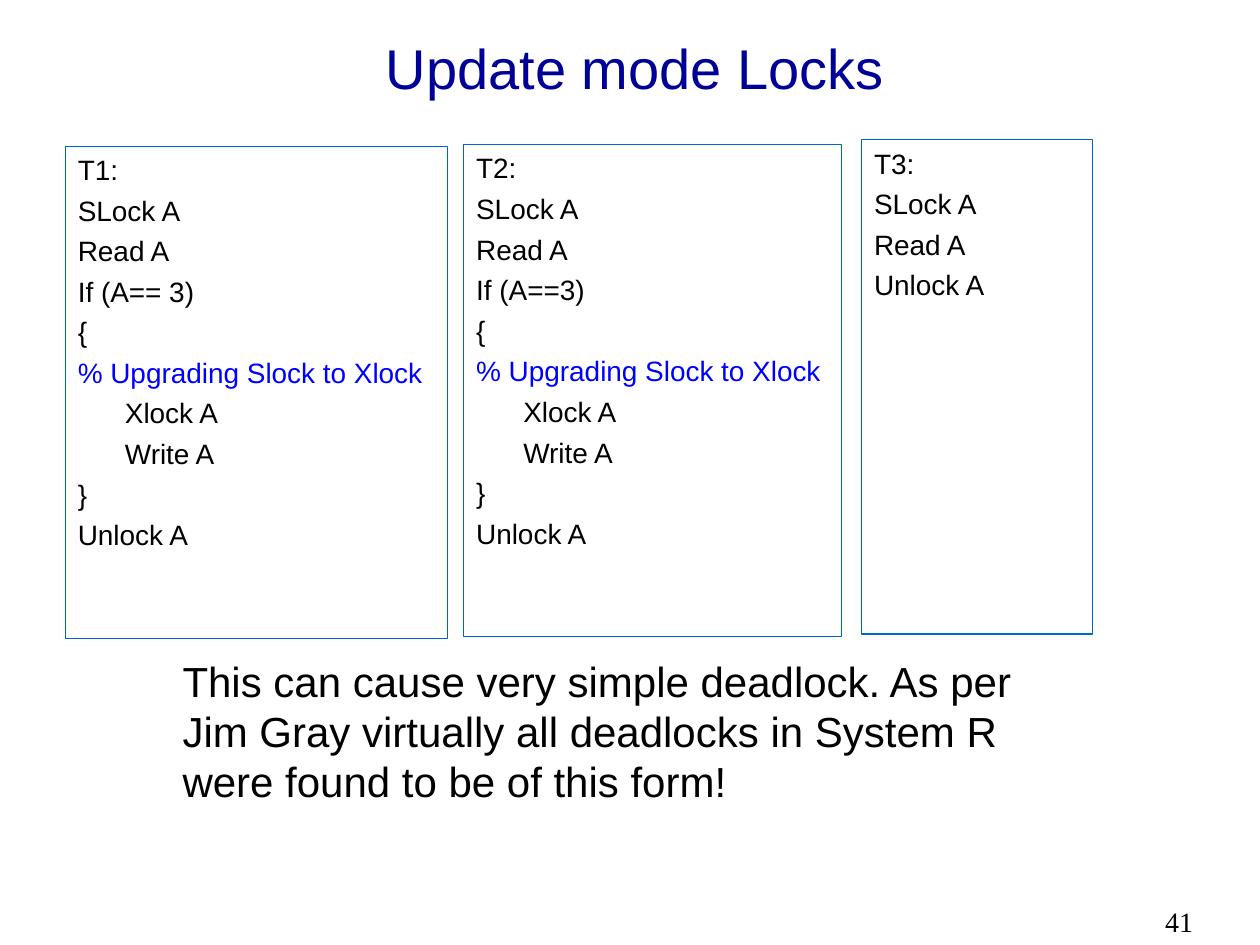
from dataclasses import dataclass

import pptx
import pptx.dml.color
import pptx.enum.shapes
import pptx.enum.text
import pptx.util

Cm = pptx.util.Cm
Pt = pptx.util.Pt
RGB = pptx.dml.color.RGBColor
Align = pptx.enum.text.PP_ALIGN
Anchor = pptx.enum.text.MSO_ANCHOR


@dataclass(frozen=True)
class Theme:
    sans: str = "Arial"
    serif: str = "Times New Roman"
    ink: RGB = RGB(0x00, 0x00, 0x00)
    heading: RGB = RGB(0x00, 0x00, 0x99)
    comment: RGB = RGB(0x00, 0x00, 0xFF)
    border: RGB = RGB(0x00, 0x66, 0xCC)
    title_size: Pt = Pt(32)
    note_size: Pt = Pt(24)
    code_size: Pt = Pt(16)
    border_width: Pt = Pt(0.75)
    code_spacing: Pt = Pt(19.2)
    code_gap: Pt = Pt(4)
    code_indent: Cm = Cm(0.95)


THEME = Theme()


def transaction(name, condition):
    return [f"{name}:", "SLock A", "Read A", f"If ({condition})", "{",
            "% Upgrading Slock to Xlock", "Xlock A", "Write A", "}", "Unlock A"]


def set_font(para, size, color, name=THEME.sans):
    para.font.size = size
    para.font.name = name
    para.font.color.rgb = color


def add_label(page, place, text, size, color, name=THEME.sans,
              align=Align.LEFT, anchor=Anchor.TOP):
    box = page.shapes.add_textbox(*map(Cm, place))
    box.text_frame.word_wrap = True
    box.text_frame.vertical_anchor = anchor
    para = box.text_frame.paragraphs[0]
    para.text = text
    para.alignment = align
    set_font(para, size, color, name)


def add_transaction(page, place, lines):
    box = page.shapes.add_shape(
        pptx.enum.shapes.MSO_SHAPE.RECTANGLE, *map(Cm, place))
    box.shadow.inherit = False
    box.fill.background()
    box.line.color.rgb = THEME.border
    box.line.width = THEME.border_width
    frame = box.text_frame
    frame.word_wrap = True
    frame.vertical_anchor = Anchor.TOP
    nested = False
    for index, line in enumerate(lines):
        para = frame.paragraphs[0] if index == 0 else frame.add_paragraph()
        para.text = line
        para.alignment = Align.LEFT
        para.line_spacing = THEME.code_spacing
        if index:
            para.space_before = THEME.code_gap
        is_comment = line.startswith("%")
        if line == "}":
            nested = False
        if nested and not is_comment:
            para._p.get_or_add_pPr().set("marL", str(THEME.code_indent))
        if line == "{":
            nested = True
        set_font(para, THEME.code_size, THEME.comment if is_comment else THEME.ink)


def main():
    deck = pptx.Presentation()
    deck.slide_width, deck.slide_height = Cm(25.4), Cm(19.05)
    page = deck.slides.add_slide(deck.slide_layouts[6])

    add_label(page, (23.24, 18.11, 2.16, 0.94), "41",
              THEME.code_size, THEME.ink, THEME.serif)
    add_label(page, (2.01, 0.48, 21.59, 1.75), "Update mode Locks",
              THEME.title_size, THEME.heading,
              align=Align.CENTER, anchor=Anchor.MIDDLE)
    add_transaction(page, (1.32, 2.95, 7.7, 9.93), transaction("T1", "A== 3"))
    add_transaction(page, (9.35, 2.92, 7.62, 9.91), transaction("T2", "A==3"))
    add_transaction(page, (17.37, 2.82, 4.65, 9.96),
                    ["T3:", "SLock A", "Read A", "Unlock A"])
    add_label(page, (3.43, 13.08, 18.19, 3.3),
              "This can cause very simple deadlock. As per Jim Gray virtually "
              "all deadlocks in System R were found to be of this form!",
              THEME.note_size, THEME.ink)
    deck.save("out.pptx")


if __name__ == "__main__":
    main()
